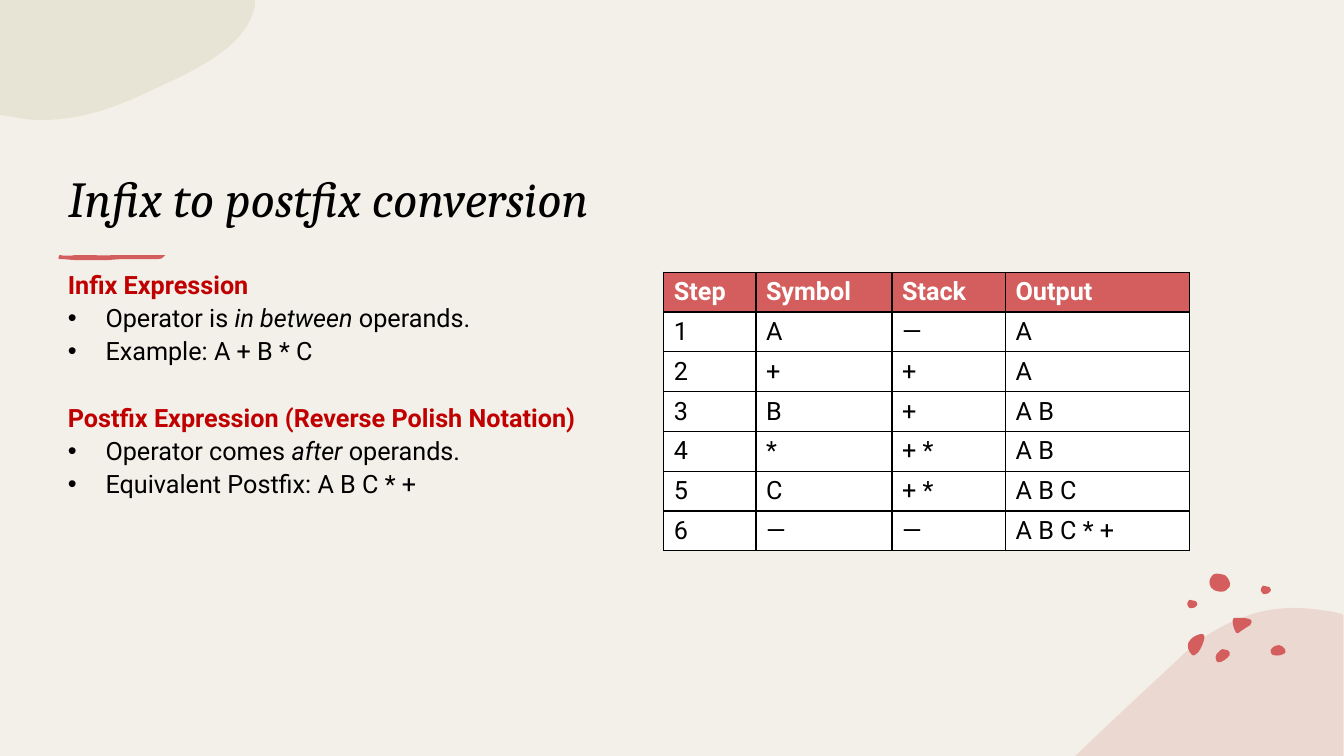
"""Build the slide that explains infix to postfix conversion."""
from dataclasses import dataclass
from typing import Optional

from lxml.etree import SubElement
from pptx import Presentation
from pptx.dml.color import RGBColor
from pptx.enum.text import MSO_ANCHOR, MSO_AUTO_SIZE, PP_ALIGN
from pptx.oxml.ns import qn
from pptx.shapes.autoshape import Shape
from pptx.slide import Slide
from pptx.table import _Cell
from pptx.text.text import Font, _Paragraph
from pptx.util import Cm, Pt


@dataclass(frozen=True)
class Theme:
    background: str = "F3F0E9"
    accent: str = "D45E5E"
    blush: str = "E5C4BA"
    sand: str = "DCD9C3"
    heading: str = "C00000"
    ink: str = "000000"
    paper: str = "FFFFFF"
    title_font: str = "Cambria"
    body_font: str = "Roboto"
    title_size: float = 36
    body_size: float = 18


THEME = Theme()
CM_PER_INCH = 2.54


@dataclass(frozen=True)
class Outline:
    """A closed outline in inches: two numbers make a line, six make a curve."""
    start: tuple[float, float]
    segments: tuple[tuple[float, ...], ...]
    color: str = THEME.accent
    opacity: Optional[int] = None


@dataclass(frozen=True)
class Line:
    runs: tuple[str, ...]
    heading: bool = False
    space_before: float = 0


def seed(x: float, y: float) -> Outline:
    return Outline((x, y + 0.05), (
        (x, y + 0.05, x, y + 0.01, x + 0.02, y),
        (x + 0.04, y, x + 0.05, y, x + 0.07, y + 0.01),
        (x + 0.08, y + 0.01, x + 0.1, y + 0.02, x + 0.1, y + 0.04),
        (x + 0.1, y + 0.05, x + 0.09, y + 0.07, x + 0.08, y + 0.07),
        (x + 0.08, y + 0.07, x + 0.08, y + 0.08, x + 0.06, y + 0.08),
        (x + 0.05, y + 0.08, x + 0.03, y + 0.09, x + 0.02, y + 0.08),
        (x + 0.01, y + 0.06, x, y + 0.06, x, y + 0.05)))


CORNER_HILL = Outline((12.88, 6.03), (
    (13.01, 6.04, 13.14, 6.05, 13.27, 6.08), (13.33, 6.1), (13.33, 7.5), (10.67, 7.5), (10.68, 7.49),
    (11.02, 7.16, 11.37, 6.84, 11.69, 6.54), (11.91, 6.32, 12.14, 6.19, 12.37, 6.11),
    (12.54, 6.05, 12.71, 6.03, 12.88, 6.03)), THEME.blush, 50)
CORNER_CLOUD = Outline((0, 0), (
    (2.53, 0), (2.53, 0.06), (2.45, 0.44, 2, 0.67, 1.58, 0.86), (1.23, 1.03, 0.86, 1.19, 0.41, 1.19),
    (0.31, 1.19, 0.22, 1.18, 0.13, 1.16), (0, 1.14)), THEME.sand, 50)
PEBBLES = (
    Outline((12.13, 6.44), (
        (12.15, 6.44, 12.16, 6.44, 12.18, 6.45), (12.2, 6.46, 12.21, 6.48, 12.2, 6.5),
        (12.18, 6.53, 12.12, 6.58, 12.08, 6.57), (12.07, 6.56, 12.06, 6.54, 12.06, 6.52),
        (12.06, 6.5, 12.08, 6.47, 12.1, 6.46), (12.11, 6.45, 12.12, 6.44, 12.13, 6.44))),
    Outline((11.91, 6.29), (
        (11.93, 6.29, 11.95, 6.29, 11.95, 6.31), (11.95, 6.33), (11.94, 6.38, 11.92, 6.43, 11.89, 6.47),
        (11.87, 6.49, 11.84, 6.52, 11.82, 6.49), (11.79, 6.46, 11.78, 6.41, 11.79, 6.38),
        (11.8, 6.35, 11.82, 6.34, 11.84, 6.32), (11.85, 6.32, 11.88, 6.29, 11.91, 6.29))),
    Outline((12.69, 6.4), (
        (12.71, 6.4, 12.74, 6.42, 12.75, 6.44), (12.76, 6.46, 12.76, 6.48, 12.73, 6.49),
        (12.7, 6.51, 12.62, 6.51, 12.61, 6.48), (12.6, 6.46, 12.61, 6.44, 12.62, 6.43),
        (12.64, 6.41, 12.66, 6.4, 12.69, 6.4))),
    Outline((12.01, 5.81), (
        (12, 5.81, 11.99, 5.75, 12.02, 5.72), (12.04, 5.7, 12.04, 5.69, 12.07, 5.69),
        (12.1, 5.69, 12.14, 5.7, 12.16, 5.71), (12.18, 5.73, 12.22, 5.78, 12.2, 5.82),
        (12.17, 5.85, 12.16, 5.87, 12.12, 5.87), (12.09, 5.87, 12.04, 5.86, 12.03, 5.84),
        (12.01, 5.83, 12.01, 5.82, 12.01, 5.81))),
    seed(12.51, 5.81),
    seed(11.78, 5.95),
    Outline((12.28, 6.13), (
        (12.34, 6.13, 12.45, 6.13, 12.41, 6.19), (12.41, 6.2, 12.4, 6.21, 12.39, 6.21),
        (12.36, 6.23, 12.33, 6.25, 12.3, 6.27), (12.29, 6.28, 12.28, 6.29, 12.27, 6.28),
        (12.26, 6.27), (12.24, 6.23, 12.23, 6.2, 12.23, 6.16), (12.23, 6.15, 12.23, 6.14, 12.24, 6.13))),
)
BRUSH_STROKE = Outline((0.59, 2.53), (
    (0.64, 2.54, 0.7, 2.54, 0.75, 2.53), (0.88, 2.53), (0.94, 2.53, 1.06, 2.54, 1.11, 2.53), (1.64, 2.53),
    (1.61, 2.54, 1.63, 2.57, 1.57, 2.57), (1.21, 2.57), (1.07, 2.58), (0.75, 2.58),
    (0.71, 2.58, 0.65, 2.57, 0.6, 2.57), (0.57, 2.58, 0.58, 2.54, 0.59, 2.53)))

LINES = (
    Line(("Infix Expression",), heading=True),
    Line(("Operator is ", "in between", " operands.")),
    Line(("Example: A + B * C",)),
    Line(("Postfix Expression (Reverse Polish Notation)",), heading=True, space_before=23.7),
    Line(("Operator comes ", "after", " operands.")),
    Line(("Equivalent Postfix: A B C * +",)),
)
COLUMN_WIDTHS = (2.32, 3.43, 2.86, 4.64)
ROW_HEIGHT = 1
STEPS = (
    ("Step", "Symbol", "Stack", "Output"),
    ("1", "A", "—", "A"),
    ("2", "+", "+", "A"),
    ("3", "B", "+", "A B"),
    ("4", "*", "+ *", "A B"),
    ("5", "C", "+ *", "A B C"),
    ("6", "—", "—", "A B C * +"),
)


def style_font(font: Font, color: str, bold: bool = False, italic: bool = False,
               name: str = THEME.body_font, size: float = THEME.body_size) -> None:
    font.name, font.size, font.bold, font.italic = name, Pt(size), bold, italic
    font.color.rgb = RGBColor.from_string(color)


def bend_curves(shape: Shape, outline: Outline) -> None:
    lines = iter(list(shape._element.spPr.iter(qn("a:lnTo"))))
    for segment in outline.segments:
        curve = next(lines)
        if len(segment) == 6:
            curve.tag = qn("a:cubicBezTo")
            for line in (next(lines), next(lines)):
                curve.append(line[0])
                line.getparent().remove(line)


def draw_outline(slide: Slide, outline: Outline) -> None:
    numbers = [Cm(number * CM_PER_INCH) for segment in outline.segments for number in segment]
    builder = slide.shapes.build_freeform(*(Cm(number * CM_PER_INCH) for number in outline.start))
    builder.add_line_segments(list(zip(numbers[::2], numbers[1::2])), close=True)
    shape = builder.convert_to_shape()
    bend_curves(shape, outline)
    shape.shadow.inherit = False
    shape.line.fill.background()
    shape.fill.solid()
    shape.fill.fore_color.rgb = RGBColor.from_string(outline.color)
    if outline.opacity is not None:
        color = shape._element.spPr.find(f"{qn('a:solidFill')}/{qn('a:srgbClr')}")
        SubElement(color, qn("a:alpha"), val=str(outline.opacity * 1000))


def draw_title(slide: Slide) -> None:
    title = slide.shapes.title
    title.left, title.top, title.width, title.height = Cm(1.46), Cm(2.18), Cm(27.99), Cm(3.68)
    frame = title.text_frame
    frame.text = "Infix to postfix conversion"
    frame.auto_size = MSO_AUTO_SIZE.NONE
    frame.vertical_anchor = MSO_ANCHOR.BOTTOM
    paragraph = frame.paragraphs[0]
    paragraph.alignment = PP_ALIGN.LEFT
    style_font(paragraph.runs[0].font, THEME.ink, italic=True, name=THEME.title_font, size=THEME.title_size)


def add_bullet(paragraph: _Paragraph) -> None:
    properties = paragraph._p.get_or_add_pPr()
    properties.set("marL", str(Cm(0.95)))
    properties.set("indent", str(-Cm(0.95)))
    SubElement(properties, qn("a:buFont"), typeface="Arial")
    SubElement(properties, qn("a:buChar"), char="•")


def draw_explanation(slide: Slide) -> None:
    frame = slide.shapes.add_textbox(Cm(1.46), Cm(6.58), Cm(27.99), Cm(9.86)).text_frame
    frame.word_wrap = True
    for index, line in enumerate(LINES):
        paragraph = frame.add_paragraph() if index else frame.paragraphs[0]
        if not line.heading:
            add_bullet(paragraph)
        paragraph.line_spacing = 1.1
        if line.space_before:
            paragraph.space_before = Pt(line.space_before)
        for position, text in enumerate(line.runs):
            run = paragraph.add_run()
            run.text = text
            style_font(run.font, THEME.heading if line.heading else THEME.ink, line.heading, position == 1)


def draw_cell(cell: _Cell, text: str, header: bool) -> None:
    cell.text = text
    cell.vertical_anchor = MSO_ANCHOR.MIDDLE
    cell.margin_top = cell.margin_bottom = Cm(0.12)
    style_font(cell.text_frame.paragraphs[0].runs[0].font, THEME.paper if header else THEME.ink, header)
    properties = cell._tc.get_or_add_tcPr()
    for side in ("lnL", "lnR", "lnT", "lnB"):
        border = SubElement(properties, qn(f"a:{side}"), w=str(Pt(1)))
        SubElement(SubElement(border, qn("a:solidFill")), qn("a:srgbClr"), val=THEME.ink)
    cell.fill.solid()
    cell.fill.fore_color.rgb = RGBColor.from_string(THEME.accent if header else THEME.paper)


def draw_steps(slide: Slide) -> None:
    table = slide.shapes.add_table(len(STEPS), len(COLUMN_WIDTHS), Cm(16.73), Cm(6.86),
                                   Cm(sum(COLUMN_WIDTHS)), Cm(ROW_HEIGHT * len(STEPS))).table
    for column, width in zip(table.columns, COLUMN_WIDTHS):
        column.width = Cm(width)
    for row_index, texts in enumerate(STEPS):
        for column_index, text in enumerate(texts):
            draw_cell(table.cell(row_index, column_index), text, row_index == 0)


def main() -> None:
    presentation = Presentation()
    presentation.slide_width, presentation.slide_height = Cm(33.87), Cm(19.05)
    slide = presentation.slides.add_slide(presentation.slide_layouts[5])
    slide.background.fill.solid()
    slide.background.fill.fore_color.rgb = RGBColor.from_string(THEME.background)
    for outline in (CORNER_HILL, *PEBBLES, CORNER_CLOUD, BRUSH_STROKE):
        draw_outline(slide, outline)
    draw_title(slide)
    draw_explanation(slide)
    draw_steps(slide)
    presentation.save("out.pptx")


if __name__ == "__main__":
    main()
